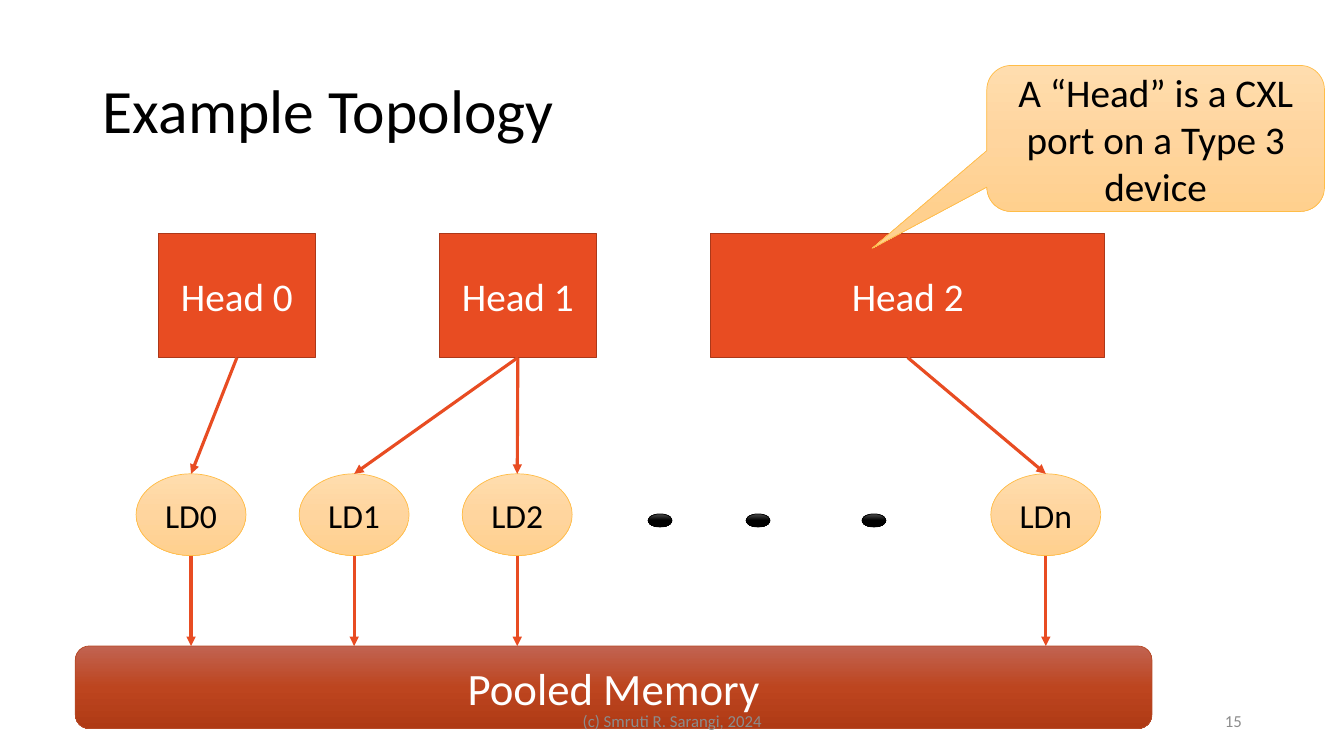
from copy import deepcopy
from pptx import Presentation
from pptx.dml.color import RGBColor
from pptx.enum.shapes import MSO_CONNECTOR as Connector, MSO_SHAPE as Shape
from pptx.enum.text import MSO_ANCHOR as Anchor, PP_ALIGN as Align
from pptx.oxml.ns import qn
from pptx.oxml.xmlchemy import OxmlElement
from pptx.util import Cm, Pt

SAND = ["FFDDAE", "FFD59E", "FFD08E"]
BLACK = ["4B4B4B", "000000", "000000"]
RUST = ["C16351", "BD451F", "AF3A15"]
ORANGE = "E84C22"


def write(shape, text, size, color, align=Align.CENTER):
    frame = shape.text_frame
    frame.word_wrap = True
    frame.vertical_anchor = Anchor.MIDDLE
    paragraph = frame.paragraphs[0]
    paragraph.text = text
    paragraph.alignment = align
    paragraph.font.name = "Calibri"
    paragraph.font.size = Pt(size)
    paragraph.font.color.rgb = RGBColor.from_string(color)
    return paragraph


def add_block(kind, box, colors, border, border_width=0.5):
    shape = slide.shapes.add_shape(kind, *map(Cm, box))
    shape.shadow.inherit = False
    shape.line.color.rgb = RGBColor.from_string(border)
    shape.line.width = Pt(border_width)
    if len(colors) == 1:
        shape.fill.solid()
        shape.fill.fore_color.rgb = RGBColor.from_string(colors[0])
        return shape
    shape.fill.gradient()
    shape.fill.gradient_angle = 270
    stop_list = shape.fill._xPr.find(qn("a:gradFill")).find(qn("a:gsLst"))
    stop_list.append(deepcopy(stop_list[0]))
    for stop, color, position in zip(shape.fill.gradient_stops, colors, (0, 0.5, 1)):
        stop.color.rgb = RGBColor.from_string(color)
        stop.position = position
    return shape


presentation = Presentation()
presentation.slide_width = Cm(33.87)
presentation.slide_height = Cm(19.05)
slide = presentation.slides.add_slide(presentation.slide_layouts[5])

title = slide.shapes.title
title.left, title.top, title.width, title.height = map(Cm, (2.34, 1.02, 29.21, 3.68))
write(title, "Example Topology", 44, "000000", Align.LEFT).line_spacing = 0.9

number = slide.shapes.add_textbox(Cm(23.93), Cm(17.65), Cm(7.62), Cm(1.02))
write(number, "15", 12, "8C8C8C", Align.RIGHT)

heads = []
for left, width in ((3.99, 3.96), (11.07, 3.96), (17.91, 9.93)):
    head = add_block(Shape.RECTANGLE, (left, 5.89, width, 3.12), [ORANGE], "AC3819", 1)
    write(head, f"Head {len(heads)}", 28, "FFFFFF")
    heads.append(head)

callout = add_block(Shape.ROUNDED_RECTANGULAR_CALLOUT, (24.87, 1.65, 8.51, 3.68), SAND, "FFBD47")
callout.adjustments[0] = -0.84
callout.adjustments[1] = 0.753
write(callout, "A “Head” is a CXL port on a Type 3 device", 28, "000000")

devices = []
for name, left in (("LD0", 3.43), ("LD1", 7.54), ("LD2", 11.65), ("LDn", 24.97)):
    device = add_block(Shape.OVAL, (left, 11.94, 2.77, 2.06), SAND, "FFBD47")
    write(device, name, 24, "000000")
    devices.append(device)

for left in (16.33, 18.8, 21.72):
    add_block(Shape.OVAL, (left, 12.95, 0.61, 0.33), BLACK, "000000")

pool_top = 16.28
arrows = []
for head_index, device in zip((0, 1, 1, 2), devices):
    arrow = slide.shapes.add_connector(Connector.STRAIGHT, 0, 0, 0, 0)
    arrow.begin_connect(heads[head_index], 2)
    arrow.end_connect(device, 0)
    arrows.append(arrow)
for device in devices:
    center = device.left + device.width // 2
    arrows.append(slide.shapes.add_connector(
        Connector.STRAIGHT, center, device.top + device.height, center, Cm(pool_top)))
for arrow in arrows:
    arrow.line.color.rgb = RGBColor.from_string(ORANGE)
    arrow.line.width = Pt(2.25)
    tip = OxmlElement("a:tailEnd")
    tip.set("type", "triangle")
    arrow.line._get_or_add_ln().append(tip)
    arrow._element.spPr.append(OxmlElement("a:effectLst"))

pool = add_block(Shape.ROUNDED_RECTANGLE, (1.9, pool_top, 27.13, 2.08), RUST, "B64926")
write(pool, "Pooled Memory", 32, "FFFFFF")

footer = slide.shapes.add_textbox(Cm(11.23), Cm(17.65), Cm(11.43), Cm(1.02))
write(footer, "(c) Smruti R. Sarangi, 2024", 12, "8C8C8C")

presentation.save("out.pptx")
